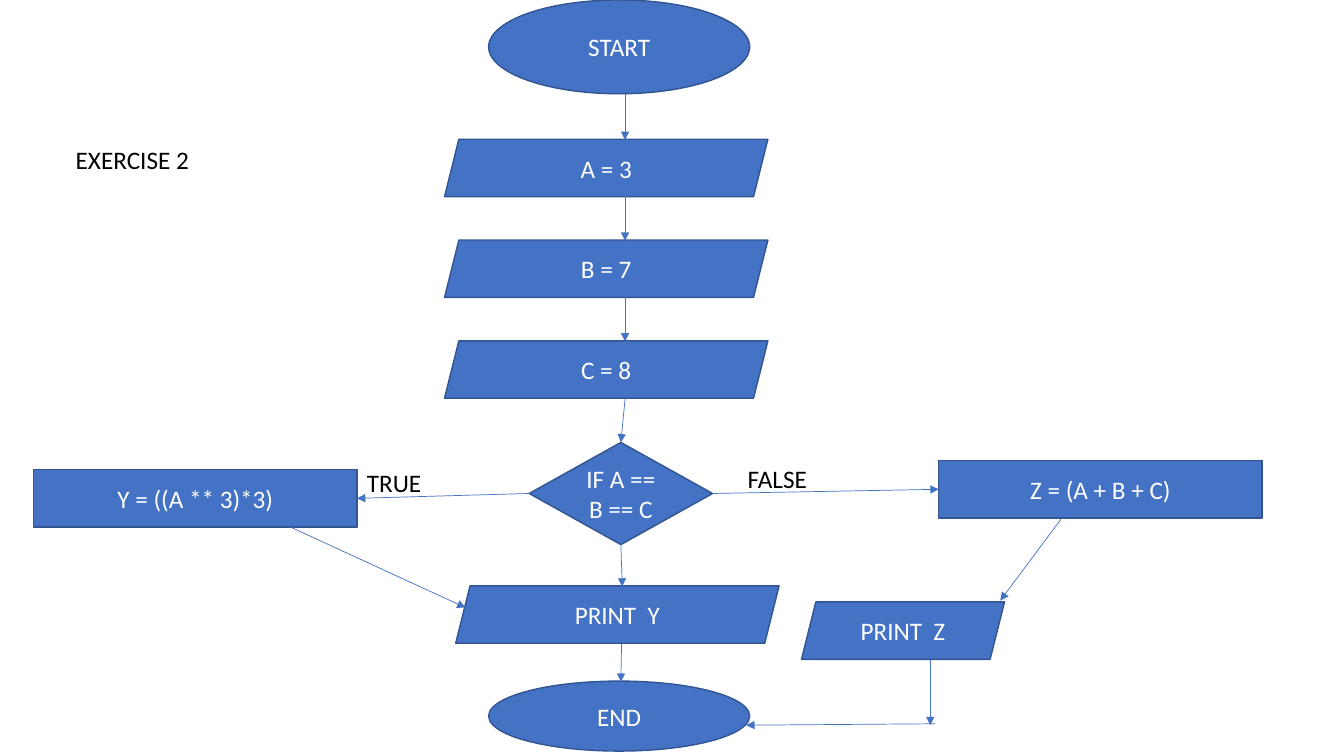
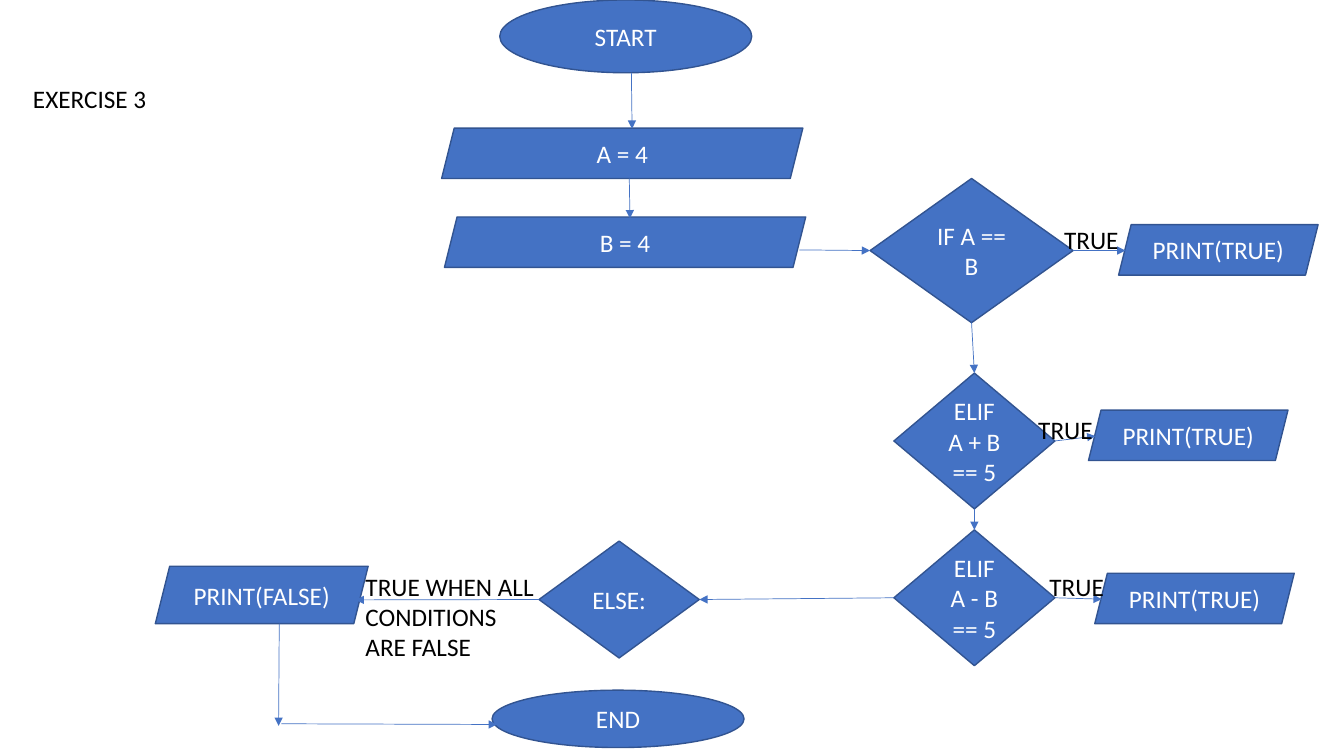
from dataclasses import dataclass
from enum import IntEnum
from typing import NamedTuple

from lxml.etree import SubElement
from pptx import Presentation
from pptx.dml.color import RGBColor
from pptx.enum.shapes import MSO_CONNECTOR as Connector, MSO_SHAPE as Preset
from pptx.enum.text import MSO_ANCHOR as Anchor, MSO_AUTO_SIZE as AutoSize, PP_ALIGN as Align
from pptx.oxml.ns import qn
from pptx.util import Pt


@dataclass(frozen=True)
class Theme:
    """Colours, font and sizes shared by both flowcharts."""
    fill: RGBColor = RGBColor.from_string("4472C4")
    outline: RGBColor = RGBColor.from_string("325491")
    node_text: RGBColor = RGBColor.from_string("FFFFFF")
    label_text: RGBColor = RGBColor.from_string("000000")
    font: str = "Calibri"
    text_size: float = 18
    outline_width: float = 1
    arrow_width: float = 0.5
    page_width: float = 960
    page_height: float = 540
    label_height: float = 29


THEME = Theme()


class Side(IntEnum):
    """Connection sites of rectangles and diamonds."""
    TOP = 0
    LEFT = 1
    BOTTOM = 2
    RIGHT = 3


class Joint(NamedTuple):
    """The middle of one side of a node."""
    box: object
    side: Side


def write(box, text, color, align):
    """Put one styled paragraph into a box."""
    frame = box.text_frame
    frame.word_wrap = True
    frame.text = text
    para = frame.paragraphs[0]
    para.alignment = align
    for span in para.runs:
        span.font.name = THEME.font
        span.font.size = Pt(THEME.text_size)
        span.font.color.rgb = color


def add_node(page, preset, text, left, top, width, height):
    """Draw one flowchart symbol with centred text."""
    box = page.shapes.add_shape(preset, Pt(left), Pt(top), Pt(width), Pt(height))
    box.shadow.inherit = False
    box.fill.solid()
    box.fill.fore_color.rgb = THEME.fill
    box.line.color.rgb = THEME.outline
    box.line.width = Pt(THEME.outline_width)
    box.text_frame.vertical_anchor = Anchor.MIDDLE
    write(box, text, THEME.node_text, Align.CENTER)
    return box


def add_label(page, text, left, top, width, height=THEME.label_height):
    """Place a plain black caption."""
    box = page.shapes.add_textbox(Pt(left), Pt(top), Pt(width), Pt(height))
    write(box, text, THEME.label_text, Align.LEFT)
    box.text_frame.auto_size = AutoSize.SHAPE_TO_FIT_TEXT


def add_arrow(page, start, end):
    """Draw an arrow between two points or joints."""
    points = [(0, 0) if isinstance(tip, Joint) else tip for tip in (start, end)]
    arrow = page.shapes.add_connector(
        Connector.STRAIGHT, *(Pt(value) for point in points for value in point))
    if isinstance(start, Joint):
        arrow.begin_connect(start.box, start.side)
    if isinstance(end, Joint):
        arrow.end_connect(end.box, end.side)
    arrow.line.color.rgb = THEME.fill
    arrow.line.width = Pt(THEME.arrow_width)
    properties = arrow.element.spPr
    SubElement(properties.find(qn("a:ln")), qn("a:tailEnd"), type="triangle")
    SubElement(properties, qn("a:effectLst"))


def add_page(deck):
    """Append a blank slide."""
    return deck.slides.add_slide(deck.slide_layouts[6])


def build_exercise_2(deck):
    """Flowchart with one decision and two branches."""
    page = add_page(deck)
    width, height = 231, 41
    first_top, step = 99.5, 72

    add_node(page, Preset.OVAL, "START", 349, 0, 186.5, 67)
    for row, text in enumerate(("A = 3", "B = 7", "C = 8")):
        add_node(page, Preset.PARALLELOGRAM, text, 317.5, first_top + row * step, width, height)
    decision = add_node(page, Preset.DIAMOND, "IF A == B == C", 378, 316, 131, 73)
    cube = add_node(page, Preset.RECTANGLE, "Y = ((A ** 3)*3)", 24, 335.5, width, height)
    total = add_node(page, Preset.RECTANGLE, "Z = (A + B + C)", 670.5, 329, width, height)
    add_node(page, Preset.PARALLELOGRAM, "PRINT  Y", 325.5, 418.5, width, height)
    add_node(page, Preset.PARALLELOGRAM, "PRINT  Z", 572.5, 430, 145, height)
    add_node(page, Preset.OVAL, "END", 349, 486.5, 186.5, 50)

    for row in range(3):
        bottom = first_top + row * step
        add_arrow(page, (446.5, bottom - 32), (446.5, bottom + 0.5))
    for start, end in (
        ((446.5, 285), Joint(decision, Side.TOP)),
        (Joint(decision, Side.LEFT), Joint(cube, Side.RIGHT)),
        (Joint(decision, Side.RIGHT), Joint(total, Side.LEFT)),
        (Joint(decision, Side.BOTTOM), (444.5, 419)),
        ((444, 459.5), (443.5, 487)),
        ((207.5, 376.5), (332.5, 434)),
        ((758.5, 370), (714.5, 429)),
        ((664.5, 471), (664.5, 518)),
        ((668, 517), (533, 518)),
    ):
        add_arrow(page, start, end)

    add_label(page, "EXERCISE 2", 47, 99.5, 139)
    add_label(page, "TRUE", 255, 330, 58.5)
    add_label(page, "FALSE", 527, 327.5, 60)


def build_exercise_3(deck):
    """Flowchart with a chain of conditions."""
    page = add_page(deck)

    add_node(page, Preset.OVAL, "START", 357, 0, 180, 52)
    add_node(page, Preset.PARALLELOGRAM, "A = 4", 315.5, 91.5, 258, 36)
    add_node(page, Preset.PARALLELOGRAM, "B = 4", 317.5, 155, 258, 36)
    conditions = [
        add_node(page, Preset.DIAMOND, *condition) for condition in (
            ("IF A == B", 621.5, 127.5, 145, 103),
            ("ELIF A + B == 5", 638.5, 266.5, 115, 97),
            ("ELIF A - B == 5", 638.5, 378.5, 115, 97),
        )
    ]
    otherwise = add_node(page, Preset.DIAMOND, "ELSE:", 385, 386.5, 114.5, 83.5)
    add_node(page, Preset.PARALLELOGRAM, "PRINT(FALSE)", 111, 404.5, 152, 41)
    add_node(page, Preset.OVAL, "END", 351.5, 493, 180, 41)

    outputs = ((799, 160.5), (777.5, 293), (782, 409.5))
    captions = ((753, 157), (734.5, 292.5), (742.5, 404.5))
    for condition, (left, top), caption in zip(conditions, outputs, captions):
        add_node(page, Preset.PARALLELOGRAM, "PRINT(TRUE)", left, top, 142.5, 36)
        add_arrow(page, Joint(condition, Side.RIGHT), (left + 5, top + 18.5))
        add_label(page, "TRUE", *caption, 70)
    for upper, lower in zip(conditions, conditions[1:]):
        add_arrow(page, Joint(upper, Side.BOTTOM), Joint(lower, Side.TOP))

    for start, end in (
        ((451, 52), (451.5, 92)),
        ((449.5, 127.5), (450, 156)),
        ((571, 178.5), Joint(conditions[0], Side.LEFT)),
        (Joint(conditions[-1], Side.LEFT), Joint(otherwise, Side.RIGHT)),
        (Joint(otherwise, Side.LEFT), (254, 428.5)),
        ((199.5, 445.5), (199, 518.5)),
        ((201, 517), (355, 517.5)),
    ):
        add_arrow(page, start, end)

    add_label(page, "TRUE WHEN ALL CONDITIONS ARE FALSE", 254, 404.5, 139, 73)
    add_label(page, "EXERCISE 3", 16.5, 56, 216)


def main():
    """Build and save the deck."""
    deck = Presentation()
    deck.slide_width = Pt(THEME.page_width)
    deck.slide_height = Pt(THEME.page_height)
    build_exercise_2(deck)
    build_exercise_3(deck)
    deck.save("out.pptx")


if __name__ == "__main__":
    main()
